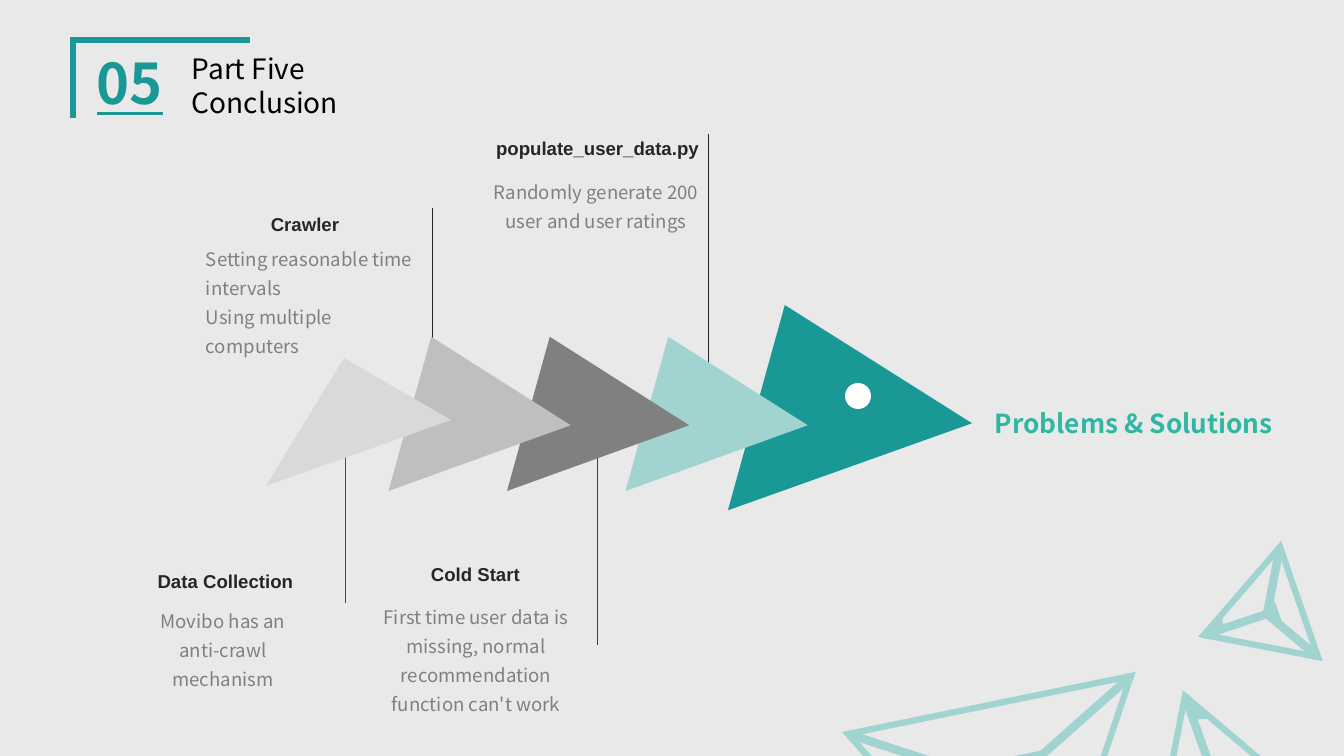
from dataclasses import dataclass

from lxml.etree import SubElement
from pptx import Presentation
from pptx.dml.color import RGBColor
from pptx.enum.shapes import MSO_CONNECTOR, MSO_SHAPE
from pptx.enum.text import MSO_AUTO_SIZE, PP_ALIGN
from pptx.oxml.ns import qn
from pptx.util import Pt

PX = 914400 / 100.8
SLIDE = (1344, 756)


@dataclass(frozen=True)
class Theme:
    background: str = "E9E9E9"
    teal: str = "1A9895"
    pale_teal: str = "A1D3D0"
    mint: str = "2FB7A3"
    dark: str = "262626"
    grey: str = "808080"
    mid_grey: str = "BFBFBF"
    light_grey: str = "D9D9D9"
    black: str = "000000"
    white: str = "FFFFFF"
    sans: str = "Noto Sans CJK SC"
    heading: str = "Arial"
    number_size: float = 40
    title_size: float = 20
    label_size: float = 18.7
    note_size: float = 13.3
    note_spacing: float = 1.3
    hairline: float = 0.75
    edge: float = 4.5
    spoke: float = 6


T = Theme()

FRAME = [(73, 118), (73, 40), (250, 40)]

# Corner crystals: outline, hub, how many corners have a spoke, solid facets
CRYSTALS = [
    ([(1185, 696), (1297, 791), (1157, 840)], (1213, 775), 1,
     [[(1195, 719), (1208, 718), (1190, 704)]]),
    ([(1131, 676), (848, 734), (1039, 949)], (1007, 786), 2,
     [[(1038, 752), (1006, 782), (964, 767)]]),
    ([(1204, 635), (1318, 657), (1280, 547)], (1267, 614), 3,
     [[(1269, 613), (1272, 596), (1282, 624)],
      [(1222, 627), (1222, 618), (1211, 631)]]),
]

# Fish: head, three equal body segments, tail
HEAD = (752, 330, 213, 212)
SEGMENT_SIZE = (160, 158)
SEGMENT_LEFT, SEGMENT_TOP, SEGMENT_STEP = 406, 356, 118.5
SEGMENT_COLORS = [T.mid_grey, T.grey, T.pale_teal]
SEGMENT_ANGLE, SEGMENT_APEX = 105.5, 0.3
TAIL = [(344, 358), (451, 420), (266, 486)]
EYE = (845, 383, 26, 26)

# Leader lines: x, top, bottom, colour
LEADERS = [
    (709, 134, 367, T.dark),
    (433, 208, 357, T.dark),
    (598, 456, 645, "404040"),
    (346, 454, 603, "215968"),
]

LEFT, CENTER, RIGHT = PP_ALIGN.LEFT, PP_ALIGN.CENTER, PP_ALIGN.RIGHT

# Notes: heading, its box and alignment; lines of the note, its box and alignment
NOTES = [
    ("populate_user_data.py", (433, 132, 276, 33), RIGHT,
     ["Randomly generate 200 user and user ratings"], (478, 169, 236, 67), CENTER),
    ("Crawler", (222, 208, 166, 33), CENTER,
     ["Setting reasonable time intervals", "Using multiple computers"],
     (196, 236, 236, 125), LEFT),
    ("Cold Start ", (395, 558, 166, 33), CENTER,
     ["First time user data is missing, normal recommendation function can't work"],
     (372, 594, 208, 125), CENTER),
    ("Data Collection ", (145, 565, 166, 33), CENTER,
     ["Movibo has an anti-crawl mechanism"], (136, 598, 174, 96), CENTER),
]


def emu(*lengths):
    return [round(n * PX) for n in lengths]


def rgb(color):
    return RGBColor.from_string(color)


def paint(sp, fill=None, line=None, width=1):
    sp.shadow.inherit = False
    if fill:
        sp.fill.solid()
        sp.fill.fore_color.rgb = rgb(fill)
    else:
        sp.fill.background()
    if line:
        sp.line.color.rgb = rgb(line)
        sp.line.width = Pt(width)
        SubElement(sp.line._get_or_add_ln(), qn("a:miter"), lim="800000")
    else:
        sp.line.fill.background()


def polygon(shapes, points, closed=True, **style):
    first, *rest = [tuple(emu(*point)) for point in points]
    builder = shapes.build_freeform(*first)
    builder.add_line_segments(rest, close=closed)
    paint(builder.convert_to_shape(), **style)


def line(shapes, start, end, color, width):
    cx = shapes.add_connector(MSO_CONNECTOR.STRAIGHT, *emu(*start, *end))
    cx.line.color.rgb = rgb(color)
    cx.line.width = Pt(width)
    SubElement(cx._element.spPr, qn("a:effectLst"))


def fish_triangle(shapes, box, color):
    sp = shapes.add_shape(MSO_SHAPE.ISOSCELES_TRIANGLE, *emu(*box))
    sp.adjustments[0] = SEGMENT_APEX
    sp.rotation = SEGMENT_ANGLE
    paint(sp, fill=color)


def text(shapes, box, lines, size, color, font=T.sans, bold=False,
         underline=False, align=LEFT, spacing=None, wrap=True):
    tf = shapes.add_textbox(*emu(*box)).text_frame
    tf.word_wrap = wrap
    tf.auto_size = MSO_AUTO_SIZE.SHAPE_TO_FIT_TEXT
    tf.text = "\n".join(lines)
    for p in tf.paragraphs:
        p.alignment = align
        if spacing:
            p.line_spacing = spacing
        for r in p.runs:
            r.font.name = font
            r.font.size = Pt(size)
            r.font.bold = bold
            r.font.underline = underline
            r.font.color.rgb = rgb(color)


def draw_crystals(shapes):
    for corners, hub, spokes, facets in CRYSTALS:
        polygon(shapes, corners, fill=T.background, line=T.pale_teal, width=T.edge)
        for corner in corners[:spokes]:
            line(shapes, corner, hub, T.pale_teal, T.spoke)
        for facet in facets:
            polygon(shapes, facet, fill=T.pale_teal, line=T.pale_teal)


def draw_fish(shapes):
    fish_triangle(shapes, HEAD, T.teal)
    for i, color in reversed(list(enumerate(SEGMENT_COLORS))):
        left = SEGMENT_LEFT + i * SEGMENT_STEP
        fish_triangle(shapes, (left, SEGMENT_TOP, *SEGMENT_SIZE), color)
    polygon(shapes, TAIL, fill=T.light_grey)
    paint(shapes.add_shape(MSO_SHAPE.OVAL, *emu(*EYE)), fill=T.white)


def main():
    prs = Presentation()
    prs.slide_width, prs.slide_height = emu(*SLIDE)
    slide = prs.slides.add_slide(prs.slide_layouts[6])
    slide.background.fill.solid()
    slide.background.fill.fore_color.rgb = rgb(T.background)
    shapes = slide.shapes

    polygon(shapes, FRAME, closed=False, line=T.teal, width=T.edge)
    draw_crystals(shapes)
    for x, top, bottom, color in LEADERS:
        line(shapes, (x, top), (x, bottom), color, T.hairline)
    text(shapes, (87, 44, 96, 78), ["05"], T.number_size, T.teal,
         bold=True, underline=True)
    text(shapes, (182, 47, 242, 78), ["Part Five", "Conclusion"],
         T.title_size, T.black)
    draw_fish(shapes)
    for heading, heading_box, heading_align, lines, box, align in NOTES:
        text(shapes, heading_box, [heading], T.note_size, T.dark,
             font=T.heading, bold=True, align=heading_align)
        text(shapes, box, lines, T.note_size, T.grey,
             align=align, spacing=T.note_spacing)
    text(shapes, (985, 402, 309, 42), ["Problems & Solutions"],
         T.label_size, T.mint, bold=True, wrap=False)

    prs.save("out.pptx")


if __name__ == "__main__":
    main()
